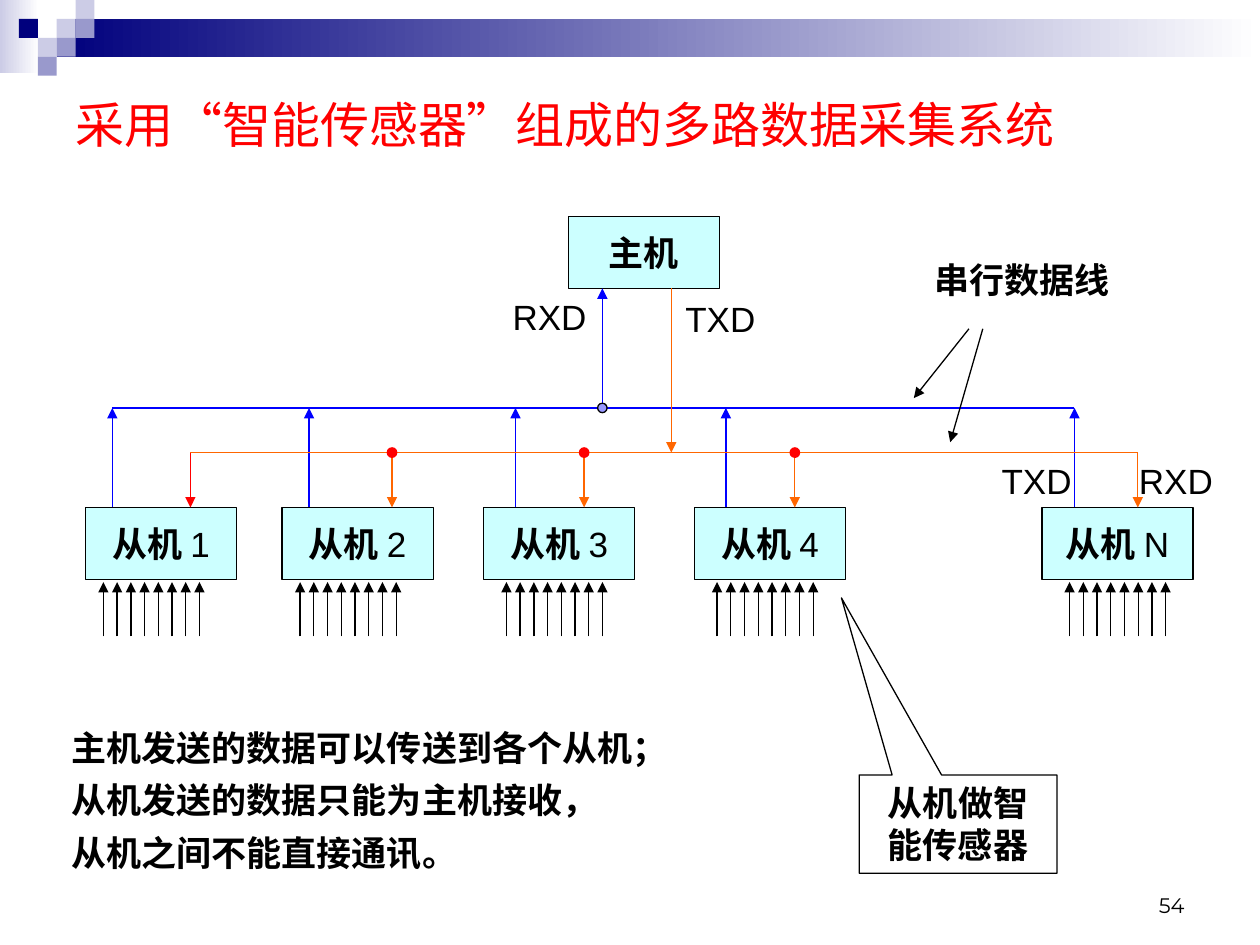
from lxml.etree import SubElement
from pptx import Presentation
from pptx.dml.color import RGBColor
from pptx.enum.shapes import MSO_CONNECTOR as Link, MSO_SHAPE as Shape
from pptx.enum.text import MSO_ANCHOR as Anchor, MSO_AUTO_SIZE as AutoSize, PP_ALIGN as Align
from pptx.oxml.ns import qn
from pptx.util import Pt

COLORS = {
    "black": "000000", "white": "FFFFFF", "red": "FF0000", "blue": "0000FF",
    "orange": "FF6600", "cyan": "CCFFFF", "periwinkle": "9999FF",
    "navy": "00007D", "lavender": "CCCCE6", "lilac": "9999CC",
}


def rgb(name):
    return RGBColor.from_string(COLORS[name])


class Page:
    """Holds the current slide and the common style."""
    font, size, line_width = "Arial", 20, 0.75

    def __init__(self, deck):
        self.slide = deck.slides.add_slide(deck.slide_layouts[5])
        self.shapes = self.slide.shapes

    def set_text(self, frame, paragraphs, align=Align.LEFT, anchor=Anchor.TOP, wrap=True,
                 color="black", size=None, font=None, spacing=None):
        """Fill a frame; each paragraph is a list of (words, bold) runs."""
        frame.auto_size = AutoSize.NONE
        frame.word_wrap = wrap
        frame.vertical_anchor = anchor
        for index, runs in enumerate(paragraphs):
            para = frame.add_paragraph() if index else frame.paragraphs[0]
            para.alignment = align
            if spacing:
                para.line_spacing = spacing
            for words, bold in runs:
                span = para.add_run()
                span.text = words
                span.font.name = font or self.font
                span.font.size = Pt(size or self.size)
                span.font.bold = bold
                span.font.color.rgb = rgb(color)

    def title(self, words, left, top, width, height, color):
        box = self.shapes.title
        box.left, box.top, box.width, box.height = map(Pt, (left, top, width, height))
        self.set_text(box.text_frame, [[(words, False)]], anchor=Anchor.MIDDLE, color=color, size=28)

    def text(self, paragraphs, left, top, width, height, **style):
        box = self.shapes.add_textbox(*map(Pt, (left, top, width, height)))
        self.set_text(box.text_frame, paragraphs, **style)

    def shape(self, kind, left, top, width, height, fill=None, line=None):
        box = self.shapes.add_shape(kind, *map(Pt, (left, top, width, height)))
        box.shadow.inherit = False
        if fill:
            box.fill.solid()
            box.fill.fore_color.rgb = rgb(fill)
        else:
            box.fill.background()
        if line:
            box.line.color.rgb = rgb(line)
            box.line.width = Pt(self.line_width)
        else:
            box.line.fill.background()
        return box

    def fade(self, left, top, width, height, start):
        """Borderless band that fades from a colour to white, left to right."""
        band = self.shape(Shape.RECTANGLE, left, top, width, height)
        band.fill.gradient()
        band.fill.gradient_angle = 0
        for stop, color in zip(band.fill.gradient_stops, (start, "white")):
            stop.color.rgb = rgb(color)

    def node(self, runs, left, top):
        box = self.shape(Shape.RECTANGLE, left, top, NODE_WIDTH, NODE_HEIGHT, "cyan", "black")
        self.set_text(box.text_frame, [runs], Align.CENTER, Anchor.MIDDLE, wrap=False)

    def dot(self, x, y, fill, line):
        self.shape(Shape.OVAL, x - DOT / 2, y - DOT / 2, DOT, DOT, fill, line)

    def line(self, x1, y1, x2, y2, color="black", arrow=True):
        link = self.shapes.add_connector(Link.STRAIGHT, *map(Pt, (x1, y1, x2, y2)))
        link.line.color.rgb = rgb(color)
        link.line.width = Pt(self.line_width)
        properties = link._element.spPr
        if arrow:
            SubElement(properties.find(qn("a:ln")), qn("a:tailEnd"), type="triangle")
        SubElement(properties, qn("a:effectLst"))


CELL = 10.8
MOSAIC = [(3, 1, "lavender"), (4, 0, "lavender"), (4, 1, "lilac"), (2, 2, "lavender"),
          (1, 1, "navy"), (3, 2, "lilac"), (2, 3, "lilac")]
NODE_WIDTH, NODE_HEIGHT, DOT = 86.4, 41.2, 5.4
MASTER_LEFT, MASTER_TOP = 324.8, 123.6
MASTER_BOTTOM = MASTER_TOP + NODE_HEIGHT
MASTER_RXD, MASTER_TXD = 344.2, 383.6
SLAVE_TOP = 290
UP_BUS, DOWN_BUS = 233.1, 258.6
INPUT_COUNT, INPUT_PITCH, INPUT_TOP, INPUT_BOTTOM = 8, 7.84, 332.6, 363.6
# name, left edge, first input, uplink, downlink
SLAVES = [
    ("1", 48.8, 59.1, 64.2, 108.8),
    ("2", 161.2, 171.5, 176.6, 224),
    ("3", 276.4, 289.4, 294.6, 333.8),
    ("4", 396.9, 409.8, 414.8, 454.2),
    ("N", 595.4, 611.2, 614, 650.2),
]


def draw_header(page):
    page.fade(0, 0, 22.3, 41.8, "lavender")
    page.fade(3 * CELL, CELL, 720 - 3 * CELL, 2 * CELL, "navy")
    for column, row, color in MOSAIC:
        page.shape(Shape.RECTANGLE, column * CELL, row * CELL, CELL, CELL, color)


def draw_slaves(page):
    for name, left, first_input, uplink, downlink in SLAVES:
        page.node([("从机 ", True), (name, False)], left, SLAVE_TOP)
        for index in range(INPUT_COUNT):
            x = first_input + index * INPUT_PITCH
            page.line(x, INPUT_BOTTOM, x, INPUT_TOP)
        page.line(uplink, SLAVE_TOP, uplink, UP_BUS, "blue")
        page.line(downlink, DOWN_BUS, downlink, SLAVE_TOP, "red" if name == "1" else "orange")


def draw_buses(page):
    first, *inner, last = SLAVES
    page.line(first[3], UP_BUS, last[3], UP_BUS, "blue", arrow=False)
    page.line(first[4], DOWN_BUS, last[4], DOWN_BUS, "orange", arrow=False)
    page.line(MASTER_RXD, UP_BUS, MASTER_RXD, MASTER_BOTTOM, "blue")
    page.line(MASTER_TXD, MASTER_BOTTOM, MASTER_TXD, DOWN_BUS, "orange")
    for slave in inner:
        page.dot(slave[4], DOWN_BUS, "red", "red")
    page.dot(MASTER_RXD, UP_BUS, "periwinkle", "black")


def draw_labels(page):
    page.text([[("串行数据线", True)]], 499, 139.7, 170, 39.6,
              align=Align.CENTER, anchor=Anchor.MIDDLE, wrap=False)
    page.line(553.7, 187.9, 522.2, 227.5)
    page.line(561.6, 187.9, 543, 252.7)
    for words, left, top in [("RXD", 285.8, 165.6), ("TXD", 384.5, 166.3),
                             ("TXD", 565.2, 259.2), ("RXD", 643.7, 259.2)]:
        page.text([[(words, False)]], left, top, 62, 31.7)

    callout = page.shape(Shape.RECTANGULAR_CALLOUT, 491, 442.8, 113, 56.2, line="black")
    callout.adjustments[0], callout.adjustments[1] = -0.59, -2.3
    page.set_text(callout.text_frame, [[("从机做智能传感器", True)]], Align.CENTER)

    notes = ["主机发送的数据可以传送到各个从机；", "从机发送的数据只能为主机接收，", "从机之间不能直接通讯。"]
    page.text([[(words, True)] for words in notes], 33.8, 405.4, 371.5, 97.2, spacing=1.25)
    page.text([[("54", False)]], 516.2, 491.8, 167.8, 36, align=Align.RIGHT,
              anchor=Anchor.BOTTOM, size=12, font="Montserrat")


def main():
    deck = Presentation()
    deck.slide_width, deck.slide_height = Pt(720), Pt(540)
    page = Page(deck)
    draw_header(page)
    page.title("采用“智能传感器”组成的多路数据采集系统", 36, 36, 648, 69.8, "red")
    page.node([("主机", True)], MASTER_LEFT, MASTER_TOP)
    draw_slaves(page)
    draw_buses(page)
    draw_labels(page)
    deck.save("out.pptx")


if __name__ == "__main__":
    main()
